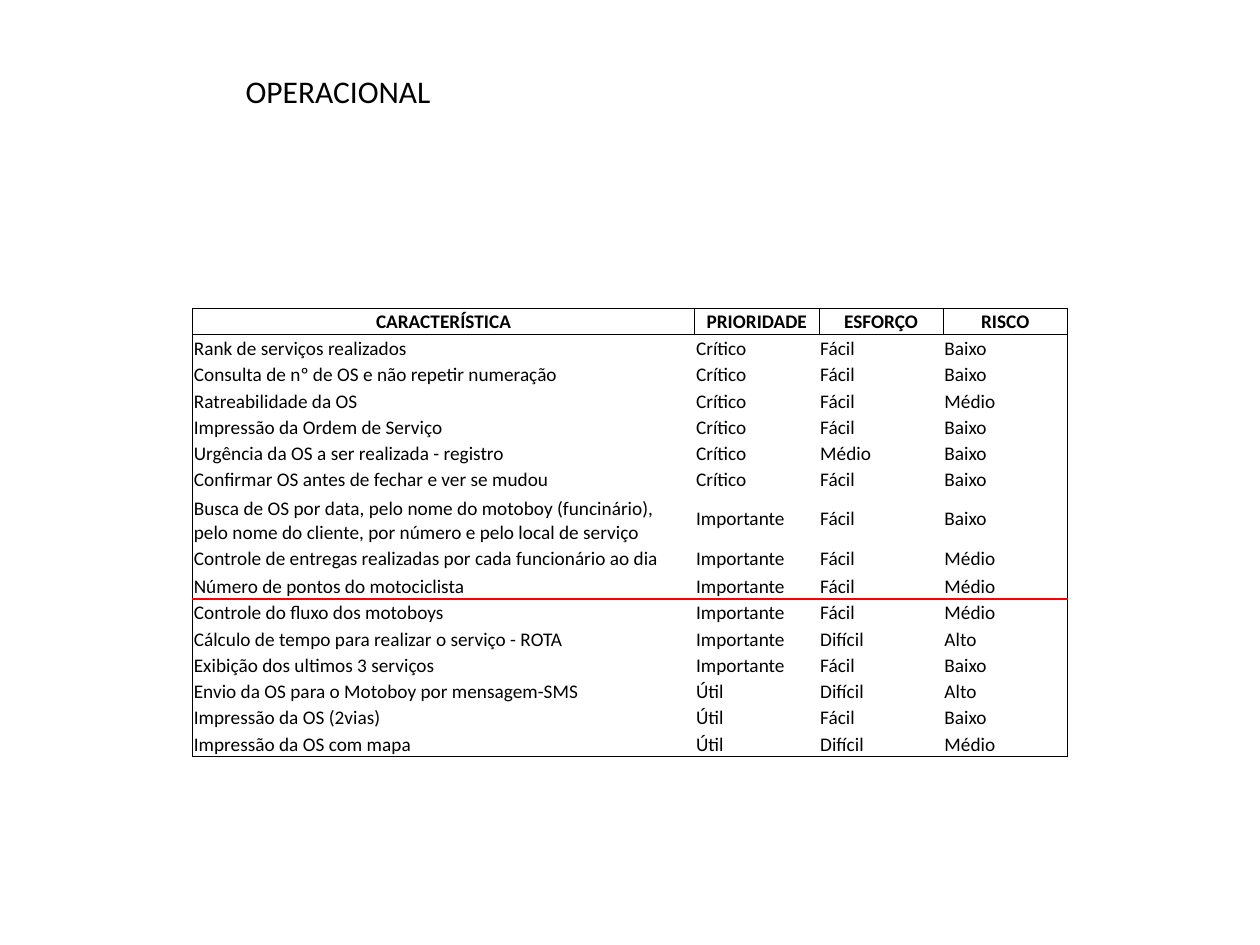
from lxml import etree
from pptx import Presentation
from pptx.dml.color import RGBColor
from pptx.enum import text
from pptx.oxml import ns
from pptx.util import Pt

BLACK, RED = "000000", "FF0000"
THIN, THICK = (BLACK, 0.5), (RED, 1)
COL_WIDTHS = [287, 71, 71, 71]
ROW_HEIGHT = 15
SPECIAL_HEIGHTS = {7: 30, 9: 16}
SEPARATOR_ROW = 9
HEADER = ("CARACTERÍSTICA", "PRIORIDADE", "ESFORÇO", "RISCO")
FEATURES = [
    ("Rank de serviços realizados", "Crítico", "Fácil", "Baixo"),
    ("Consulta de nº de OS e não repetir numeração", "Crítico", "Fácil", "Baixo"),
    ("Ratreabilidade da OS", "Crítico", "Fácil", "Médio"),
    ("Impressão da Ordem de Serviço", "Crítico", "Fácil", "Baixo"),
    ("Urgência da OS a ser realizada - registro", "Crítico", "Médio", "Baixo"),
    ("Confirmar OS antes de fechar e ver se mudou", "Crítico", "Fácil", "Baixo"),
    ("Busca de OS por data, pelo nome do motoboy (funcinário),\v"
     "pelo nome do cliente, por número e pelo local de serviço",
     "Importante", "Fácil", "Baixo"),
    ("Controle de entregas realizadas por cada funcionário ao dia",
     "Importante", "Fácil", "Médio"),
    ("Número de pontos do motociclista", "Importante", "Fácil", "Médio"),
    ("Controle do fluxo dos motoboys", "Importante", "Fácil", "Médio"),
    ("Cálculo de tempo para realizar o serviço - ROTA", "Importante", "Difícil", "Alto"),
    ("Exibição dos ultimos 3 serviços", "Importante", "Fácil", "Baixo"),
    ("Envio da OS para o Motoboy por mensagem-SMS", "Útil", "Difícil", "Alto"),
    ("Impressão da OS (2vias)", "Útil", "Fácil", "Baixo"),
    ("Impressão da OS com mapa", "Útil", "Difícil", "Médio"),
]


def color(hex_string):
    """Turn a hex string into a colour."""
    return RGBColor.from_string(hex_string)


def set_font(p, size, bold=False):
    """Set the font of a paragraph."""
    p.font.name = "Calibri"
    p.font.size = Pt(size)
    p.font.bold = bold
    p.font.color.rgb = color(BLACK)


def set_borders(cell, borders):
    """Draw the given sides of a cell and hide the others."""
    tc_pr = cell._tc.get_or_add_tcPr()
    for side in "LRTB":
        ln = etree.SubElement(tc_pr, ns.qn(f"a:ln{side}"))
        if side not in borders:
            etree.SubElement(ln, ns.qn("a:noFill"))
            continue
        hex_string, width = borders[side]
        ln.set("w", str(Pt(width)))
        fill = etree.SubElement(ln, ns.qn("a:solidFill"))
        etree.SubElement(fill, ns.qn("a:srgbClr"), val=hex_string)


def cell_borders(row, col, last_row, last_col):
    """Return the visible borders of the cell at a table position."""
    if row == 0:
        return dict.fromkeys("LRTB", THIN)
    borders = {}
    if col == 0:
        borders["L"] = THIN
    if col == last_col:
        borders["R"] = THIN
    if row == 1:
        borders["T"] = THIN
    if row == last_row:
        borders["B"] = THIN
    if row == SEPARATOR_ROW:
        borders["B"] = THICK
    if row == SEPARATOR_ROW + 1:
        borders["T"] = THICK
    return borders


def fill_cell(cell, value, header, middle, borders):
    """Write and format one table cell."""
    cell.text = value
    cell.margin_left = cell.margin_right = cell.margin_top = Pt(0.75)
    cell.margin_bottom = Pt(0)
    cell.vertical_anchor = text.MSO_ANCHOR.MIDDLE if middle else text.MSO_ANCHOR.BOTTOM
    p = cell.text_frame.paragraphs[0]
    p.alignment = text.PP_ALIGN.CENTER if header else text.PP_ALIGN.LEFT
    set_font(p, 11, bold=header)
    set_borders(cell, borders)
    cell.fill.background()


def add_feature_table(s, left, top):
    """Add the table of features with priority, effort and risk."""
    rows = [HEADER] + FEATURES
    heights = [SPECIAL_HEIGHTS.get(i, ROW_HEIGHT) for i in range(len(rows))]
    table = s.shapes.add_table(len(rows), len(COL_WIDTHS), Pt(left), Pt(top),
                               Pt(sum(COL_WIDTHS)), Pt(sum(heights))).table
    table.first_row = table.horz_banding = False
    for column, width in zip(table.columns, COL_WIDTHS):
        column.width = Pt(width)
    for i, values in enumerate(rows):
        table.rows[i].height = Pt(heights[i])
        for j, value in enumerate(values):
            middle = i == 0 or ("\v" in values[0] and j > 0)
            borders = cell_borders(i, j, len(rows) - 1, len(COL_WIDTHS) - 1)
            fill_cell(table.cell(i, j), value, i == 0, middle, borders)


def add_heading(s, value, left, top, width, height):
    """Add the heading as an unwrapped text box."""
    tf = s.shapes.add_textbox(Pt(left), Pt(top), Pt(width), Pt(height)).text_frame
    tf.word_wrap = False
    tf.auto_size = text.MSO_AUTO_SIZE.SHAPE_TO_FIT_TEXT
    p = tf.paragraphs[0]
    p.text = value
    set_font(p, 18)


def main():
    """Build the slide and save it."""
    prs = Presentation()
    prs.slide_width, prs.slide_height = Pt(720), Pt(540)
    s = prs.slides.add_slide(prs.slide_layouts[6])
    add_feature_table(s, 110, 176.25)
    add_heading(s, "OPERACIONAL", 133.25, 37.5, 121, 29)
    prs.save("out.pptx")


main()
